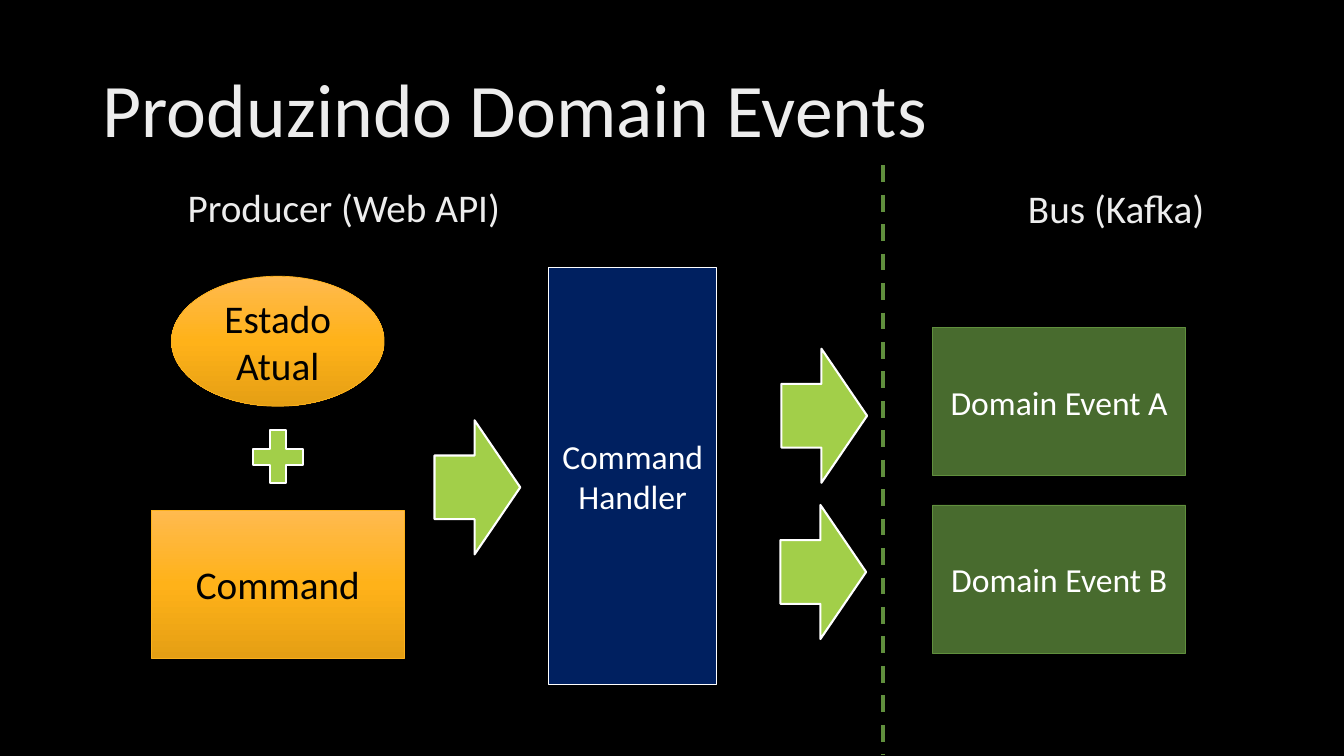
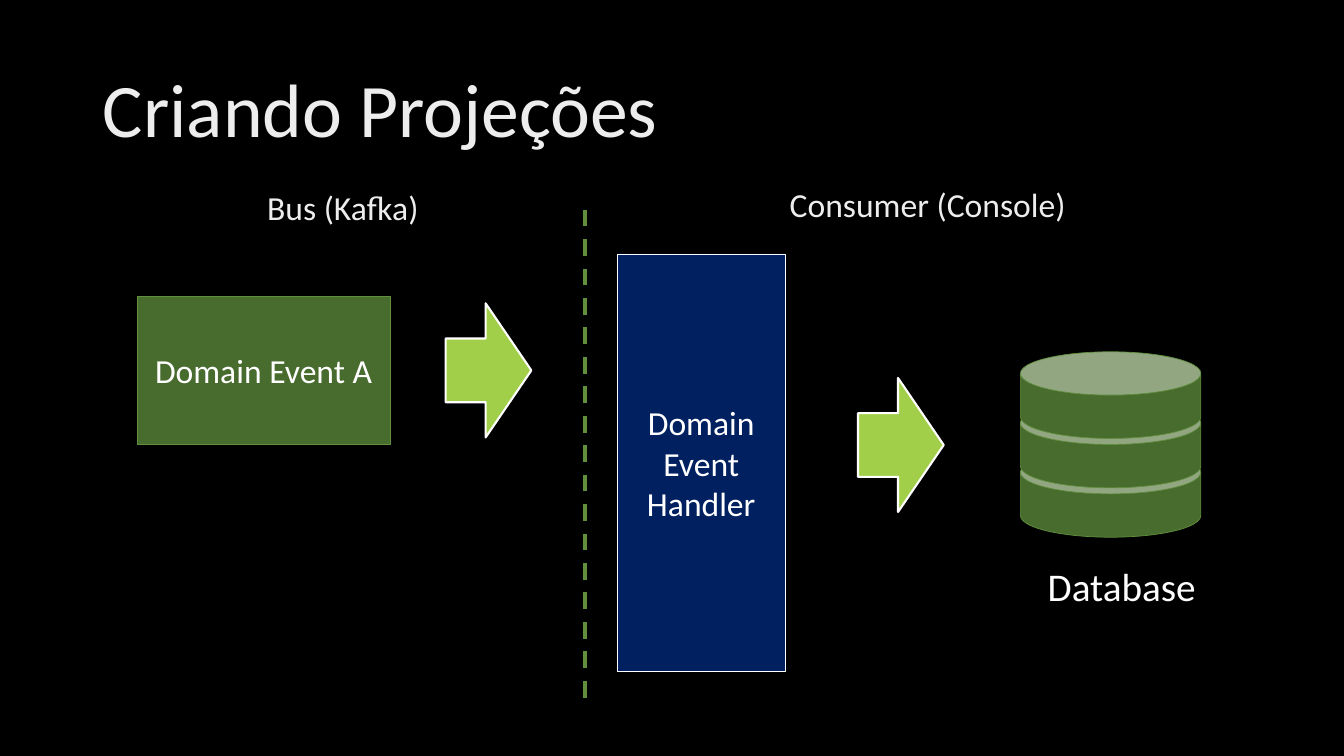
from copy import deepcopy
from dataclasses import dataclass

from pptx import Presentation
from pptx.dml.color import RGBColor as Rgb
from pptx.enum.dml import MSO_LINE
from pptx.enum.shapes import MSO_CONNECTOR, MSO_SHAPE as Kind
from pptx.enum.text import MSO_ANCHOR as Anchor, MSO_AUTO_SIZE as Fit, PP_ALIGN as Align
from pptx.oxml.ns import qn
from pptx.oxml.xmlchemy import OxmlElement as Node
from pptx.shapes.autoshape import Shape
from pptx.slide import Slide
from pptx.text.text import TextFrame
from pptx.util import Pt

PX = 9144
FONT = "Calibri"

BLACK = Rgb(0x00, 0x00, 0x00)
WHITE = Rgb(0xFF, 0xFF, 0xFF)
PALE = Rgb(0xED, 0xED, 0xED)
NAVY = Rgb(0x00, 0x20, 0x60)
GREEN = Rgb(0x48, 0x6B, 0x2E)
EDGE = Rgb(0x60, 0x8F, 0x3D)
LIME = Rgb(0xA2, 0xCF, 0x49)
AMBER = Rgb(0xFC, 0xB1, 0x1C)
GLOW = (Rgb(0xFF, 0xBA, 0x4F), Rgb(0xFF, 0xB2, 0x19), Rgb(0xE5, 0x9F, 0x14))


@dataclass(frozen=True)
class Look:
    fills: tuple[Rgb, ...]
    line: Rgb
    width: float = 0.5
    ink: Rgb = WHITE
    size: int = 24


@dataclass(frozen=True)
class Form:
    kind: Kind
    look: Look
    width: int
    height: int
    adjust: tuple[float, ...] = ()


@dataclass(frozen=True)
class Item:
    form: Form
    left: int
    top: int
    text: str = ""


@dataclass(frozen=True)
class Label:
    text: str
    left: int
    top: int
    size: int


@dataclass(frozen=True)
class Border:
    left: int
    top: int
    bottom: int


@dataclass(frozen=True)
class Page:
    title: str
    border: Border
    labels: tuple[Label, ...]
    items: tuple[Item, ...]


INPUT = Look(GLOW, AMBER, ink=BLACK, size=28)
EVENT = Look((GREEN,), EDGE)
SIGN = Look((LIME,), WHITE, 1.5)

STATE = Form(Kind.OVAL, INPUT, 211, 129)
ORDER = Form(Kind.RECTANGLE, INPUT, 251, 147)
FACT = Form(Kind.RECTANGLE, EVENT, 251, 147)
HANDLER = Form(Kind.RECTANGLE, Look((NAVY,), WHITE), 167, 414)
PLUS = Form(Kind.MATH_PLUS, SIGN, 67, 72)
ARROW = Form(Kind.RIGHT_ARROW, SIGN, 85, 133, (0.475, 0.533))
DISK = Form(Kind.CAN, EVENT, 179, 86, (0.5,))

PAGES = (
    Page(
        "Produzindo Domain Events",
        Border(876, 164, 749),
        (Label("Bus (Kafka)", 903, 165, 28), Label("Producer (Web API)", 137, 164, 28)),
        (
            Item(HANDLER, 544, 265, "Command Handler"),
            Item(STATE, 170, 274, "Estado Atual"),
            Item(ORDER, 150, 506, "Command"),
            Item(FACT, 925, 325, "Domain Event A"),
            Item(FACT, 925, 501, "Domain Event B"),
            Item(PLUS, 242, 417),
            Item(ARROW, 431, 417),
            Item(ARROW, 775, 346),
            Item(ARROW, 774, 501),
        ),
    ),
    Page(
        "Criando Projeções",
        Border(580, 208, 701),
        (Label("Consumer (Console)", 716, 161, 24), Label("Bus (Kafka)", 136, 164, 24)),
        (
            Item(FACT, 136, 294, "Domain Event A"),
            Item(ARROW, 442, 301),
            Item(HANDLER, 612, 252, "Domain Event Handler"),
            *(Item(DISK, 1012, 447 - 49 * row) for row in range(3)),
            Item(ARROW, 851, 375),
        ),
    ),
)


def px(*values: int) -> tuple[int, ...]:
    return tuple(value * PX for value in values)


def write(frame: TextFrame, text: str, size: int, ink: Rgb,
          align: Align = Align.CENTER, space: float = 1.0) -> None:
    frame.text = text
    frame.word_wrap = True
    frame.auto_size = Fit.NONE
    frame.vertical_anchor = Anchor.MIDDLE
    line = frame.paragraphs[0]
    line.alignment = align
    line.line_spacing = space
    for run in line.runs:
        run.font.name = FONT
        run.font.size = Pt(size)
        run.font.color.rgb = ink


def paint(shape: Shape, fills: tuple[Rgb, ...]) -> None:
    fill = shape.fill
    if len(fills) == 1:
        fill.solid()
        fill.fore_color.rgb = fills[0]
        return
    fill.gradient()
    fill.gradient_angle = 270
    stops = shape.element.spPr.find(".//" + qn("a:gsLst"))
    for _ in fills[2:]:
        stops.insert(1, deepcopy(stops[0]))
    for rank, (stop, tint) in enumerate(zip(fill.gradient_stops, fills)):
        stop.position = rank / (len(fills) - 1)
        stop.color.rgb = tint


def draw(slide: Slide, item: Item) -> None:
    form, look = item.form, item.form.look
    shape = slide.shapes.add_shape(
        form.kind, *px(item.left, item.top, form.width, form.height))
    shape.shadow.inherit = False
    for rank, value in enumerate(form.adjust):
        shape.adjustments[rank] = value
    paint(shape, look.fills)
    shape.line.color.rgb = look.line
    shape.line.width = Pt(look.width)
    if item.text:
        write(shape.text_frame, item.text, look.size, look.ink)


def split(slide: Slide, border: Border) -> None:
    line = slide.shapes.add_connector(
        MSO_CONNECTOR.STRAIGHT,
        *px(border.left, border.top, border.left, border.bottom))
    line.line.color.rgb = EDGE
    line.line.width = Pt(3)
    line.line.dash_style = MSO_LINE.DASH
    line.element.spPr.append(Node("a:effectLst"))


def tag(slide: Slide, label: Label) -> None:
    box = slide.shapes.add_textbox(*px(label.left, label.top, 408, 88))
    write(box.text_frame, label.text, label.size, PALE, space=0.9)


def head(slide: Slide, text: str) -> None:
    title = slide.shapes.title
    title.left, title.top, title.width, title.height = px(92, 40, 1150, 145)
    write(title.text_frame, text, 54, PALE, Align.LEFT, 0.9)


def name(slide: Slide, text: str) -> None:
    box = slide.shapes.add_textbox(*px(1020, 553, 185, 57))
    write(box.text_frame, text, 28, WHITE)
    box.text_frame.word_wrap = False
    box.text_frame.auto_size = Fit.SHAPE_TO_FIT_TEXT


def main() -> None:
    deck = Presentation()
    deck.slide_width, deck.slide_height = px(1333, 750)
    back = deck.slide_master.background.fill
    back.solid()
    back.fore_color.rgb = BLACK
    for page in PAGES:
        slide = deck.slides.add_slide(deck.slide_layouts[5])
        head(slide, page.title)
        split(slide, page.border)
        for label in page.labels:
            tag(slide, label)
        for item in page.items:
            draw(slide, item)
    name(slide, "Database")
    deck.save("out.pptx")


if __name__ == "__main__":
    main()
